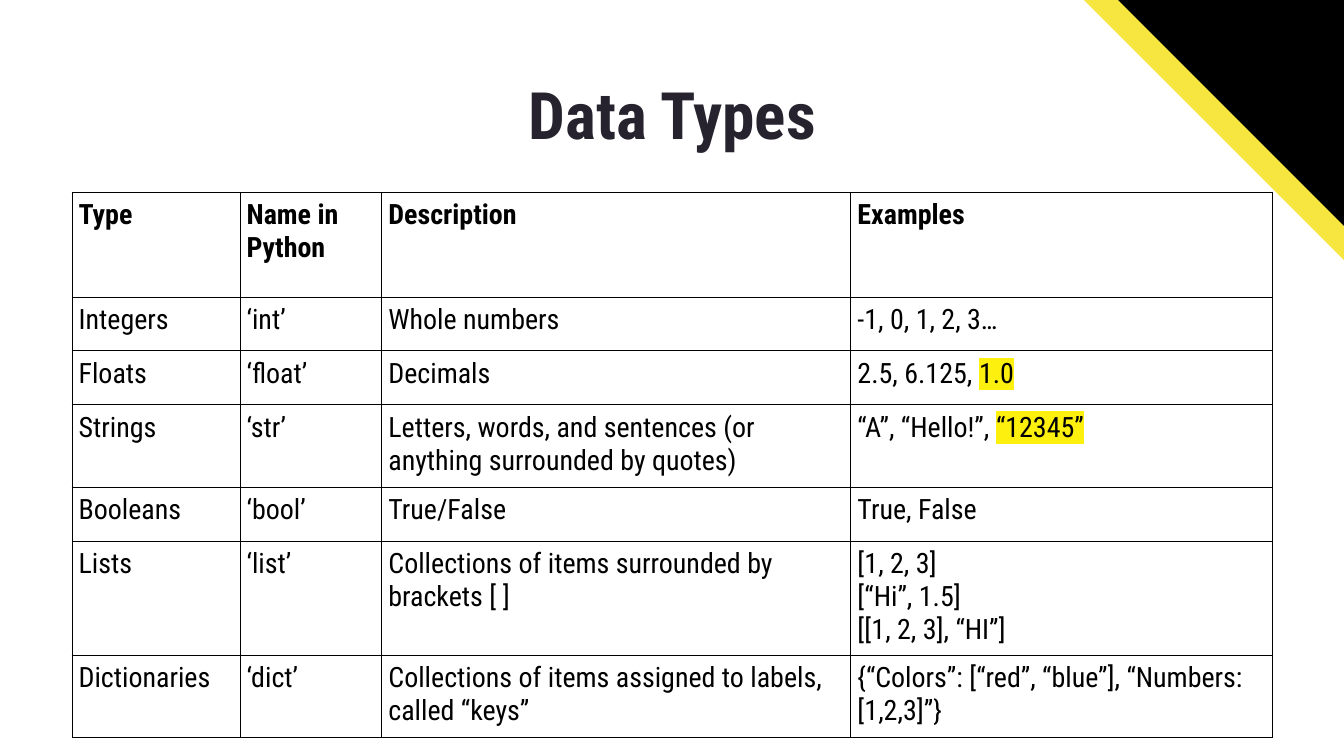
"""Build the Data Types slide: a corner ribbon, a title and a reference table."""
from dataclasses import dataclass

from lxml import etree
from pptx import Presentation
from pptx import util as u
from pptx.dml.color import RGBColor
from pptx.enum import text
from pptx.oxml.ns import qn


@dataclass(frozen=True)
class Theme:
    """Colours, type and line sizes of the slide."""
    font: str = "Roboto Condensed"
    title_size: int = 70
    cell_size: int = 30
    ink: str = "26232E"
    black: str = "000000"
    ribbon: str = "F8E640"
    marker: str = "FDEF0E"
    border: float = 0.75
    inset: float = 0.1


THEME = Theme()
SLIDE_WIDTH, SLIDE_HEIGHT = u.Inches(20), u.Inches(11.25)
COLUMN_SHARES = [12.5, 10.55, 34.9, 31.35]
ROW_SHARES = [13.87, 7.11, 7.11, 10.93, 7.11, 14.76, 10.93]

# Each cell is a list of paragraphs; a tuple holds plain text and marked text.
DATA_TYPES = [
    ["Type", "Name in Python", "Description", ["Examples"]],
    ["Integers", "‘int’", "Whole numbers", ["-1, 0, 1, 2, 3…"]],
    ["Floats", "‘float’", "Decimals", [("2.5, 6.125, ", "1.0")]],
    ["Strings", "‘str’",
     "Letters, words, and sentences (or anything surrounded by quotes)",
     [("“A”, “Hello!”, ", "“12345”")]],
    ["Booleans", "‘bool’", "True/False", ["True, False"]],
    ["Lists", "‘list’", "Collections of items surrounded by brackets [ ]",
     ["[1, 2, 3]", "[“Hi”, 1.5]", "[[1, 2, 3], “HI”]"]],
    ["Dictionaries", "‘dict’",
     "Collections of items assigned to labels, called “keys”",
     ["{“Colors”: [“red”, “blue”], “Numbers: [1,2,3]”}"]],
]


def across(percent):
    """Return a share of the slide's width."""
    return u.Emu(round(SLIDE_WIDTH * percent / 100))


def down(percent):
    """Return a share of the slide's height."""
    return u.Emu(round(SLIDE_HEIGHT * percent / 100))


def set_insets(holder):
    """Give a cell or text frame the same margin on every side."""
    for side in ("left", "right", "top", "bottom"):
        setattr(holder, f"margin_{side}", u.Inches(THEME.inset))


def add_run(paragraph, words, size, colour, bold=False, marked=False):
    """Append one styled run, with a marker behind it if asked."""
    run = paragraph.add_run()
    run.text = words
    font = run.font
    font.name, font.size, font.bold = THEME.font, u.Pt(size), bold
    font.color.rgb = RGBColor.from_string(colour)
    if marked:
        highlight = etree.Element(qn("a:highlight"))
        etree.SubElement(highlight, qn("a:srgbClr"), val=THEME.marker)
        run.font._element.find(qn("a:solidFill")).addnext(highlight)


def add_band(slide, left, top, colour):
    """Draw one diagonal band of the corner ribbon."""
    x, y, width, height = across(left), down(top), across(33.5), down(53.24)
    outline = slide.shapes.build_freeform(x, y)
    outline.add_line_segments(
        [(x + width, y), (x + width, y + height), (x, y + height)], close=True)
    band = outline.convert_to_shape()
    band.rotation = 45
    band.shadow.inherit = False
    band.fill.solid()
    band.fill.fore_color.rgb = RGBColor.from_string(colour)
    band.line.fill.background()


def set_title(slide, words):
    """Place and fill the title placeholder."""
    title = slide.shapes.title
    title.left, title.top = across(33.25), down(10.04)
    title.width, title.height = across(33.55), down(11.2)
    frame = title.text_frame
    frame.word_wrap = True
    frame.auto_size = text.MSO_AUTO_SIZE.SHAPE_TO_FIT_TEXT
    frame.vertical_anchor = text.MSO_ANCHOR.TOP
    set_insets(frame)
    heading = frame.paragraphs[0]
    heading.alignment = text.PP_ALIGN.CENTER
    heading.line_spacing = 0.9
    add_run(heading, words, THEME.title_size, THEME.ink, bold=True)


def add_borders(cell):
    """Rule all four edges of a cell."""
    properties = cell._tc.get_or_add_tcPr()
    for place, edge in enumerate(("lnL", "lnR", "lnT", "lnB")):
        line = etree.Element(qn(f"a:{edge}"), w=str(u.Pt(THEME.border)))
        fill = etree.SubElement(line, qn("a:solidFill"))
        etree.SubElement(fill, qn("a:srgbClr"), val=THEME.black)
        properties.insert(place, line)


def fill_cell(cell, content, bold):
    """Write a cell's paragraphs, clear its fill and rule its edges."""
    paragraphs = [content] if isinstance(content, str) else content
    frame = cell.text_frame
    for index, runs in enumerate(paragraphs):
        paragraph = frame.add_paragraph() if index else frame.paragraphs[0]
        parts = (runs,) if isinstance(runs, str) else runs
        for place, words in enumerate(parts):
            add_run(paragraph, words, THEME.cell_size, THEME.black, bold, place > 0)
    set_insets(cell)
    cell.fill.background()
    add_borders(cell)


def add_types_table(slide):
    """Add the table of data types."""
    table = slide.shapes.add_table(
        len(ROW_SHARES), len(COLUMN_SHARES), across(5.35), down(25.42),
        across(sum(COLUMN_SHARES)), down(sum(ROW_SHARES))).table
    table.first_row = table.horz_banding = False
    for column, share in zip(table.columns, COLUMN_SHARES):
        column.width = across(share)
    for index, (row, share) in enumerate(zip(table.rows, ROW_SHARES)):
        row.height = down(share)
        for cell, content in zip(row.cells, DATA_TYPES[index]):
            fill_cell(cell, content, bold=index == 0)


def main():
    """Build and save the slide."""
    deck = Presentation()
    deck.slide_width, deck.slide_height = SLIDE_WIDTH, SLIDE_HEIGHT
    slide = deck.slides.add_slide(deck.slide_layouts[5])
    add_band(slide, 83.9, -28.71, THEME.ribbon)
    add_band(slide, 85.05, -31.2, THEME.black)
    set_title(slide, "Data Types")
    add_types_table(slide)
    deck.save("out.pptx")


if __name__ == "__main__":
    main()
